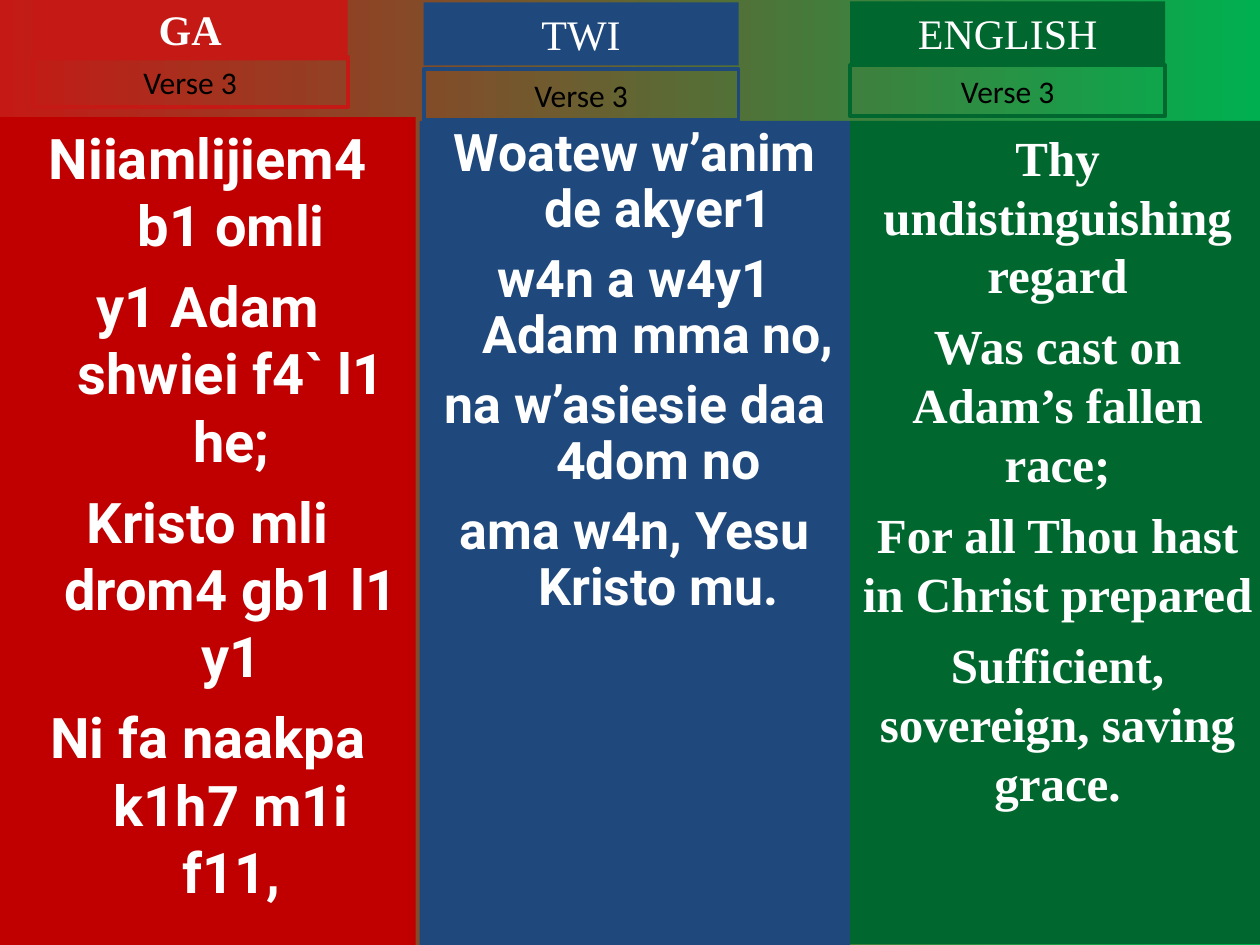
from dataclasses import dataclass
from pptx import Presentation
from pptx.dml.color import RGBColor
from pptx.enum.text import MSO_AUTO_SIZE as AutoSize, PP_ALIGN as Align
from pptx.util import Cm, Pt

PAGE_WIDTH, PAGE_HEIGHT = 25.4, 19.05
LABEL_WIDTH, TITLE_HEIGHT, VERSE_HEIGHT = 6.35, 1.27, 1.02
WHITE, BLACK = "FFFFFF", "000000"


@dataclass
class Language:
    title: str
    lines: list
    box: tuple
    label_left: float
    title_top: float
    verse_top: float
    body_color: str
    title_color: str
    font: str
    size: float
    gap: float
    hanging: float = 0
    spacing: float = 1.0
    title_bold: bool = False


LANGUAGES = [
    Language(
        "GA",
        ["Niiamlijiem4 b1 omli", "y1 Adam shwiei f4` l1 he;",
         "Kristo mli drom4 gb1 l1 y1", "Ni fa naakpa k1h7 m1i f11,"],
        (0, 2.36, 8.38, 16.69), 0.66, -0.05, 1.14,
        "C00000", "C51915", "Roboto", 32, 8, hanging=0.95, title_bold=True),
    Language(
        "TWI",
        ["Woatew w’anim de akyer1", "w4n a w4y1 Adam mma no,",
         "na w’asiesie daa 4dom no", "ama w4n, Yesu Kristo mu."],
        (8.46, 2.44, 8.68, 16.61), 0.08, 0.05, 1.4,
        "1F497D", "1F497D", "Roboto", 29.6, 8, hanging=0.95, spacing=0.9),
    Language(
        "ENGLISH",
        ["Thy undistinguishing regard", "Was cast on Adam’s fallen race;",
         "For all Thou hast in Christ prepared",
         "Sufficient, sovereign, saving grace."],
        (17.14, 2.44, 8.36, 16.59), 0, 0.03, 1.32,
        "00682F", "00682F", "Times New Roman", 28, 7),
]


def color(value):
    return RGBColor.from_string(value)


def add_text(page, area, lines, font, size, ink, bold=False):
    box = page.shapes.add_textbox(*(Cm(length) for length in area))
    frame = box.text_frame
    frame.word_wrap = True
    frame.text = "\n".join(lines)
    for para in frame.paragraphs:
        para.alignment = Align.CENTER
        for span in para.runs:
            span.font.name = font
            span.font.size = Pt(size)
            span.font.bold = bold
            span.font.color.rgb = color(ink)
    return box


def fill_box(box, value):
    box.fill.solid()
    box.fill.fore_color.rgb = color(value)


def add_body(page, language):
    body = add_text(page, language.box, language.lines, language.font,
                    language.size, WHITE, bold=True)
    fill_box(body, language.body_color)
    for index, para in enumerate(body.text_frame.paragraphs):
        para.line_spacing = language.spacing
        para.space_before = Pt(language.gap if index else 0)
        if language.hanging:
            properties = para._p.get_or_add_pPr()
            properties.set("marL", str(Cm(language.hanging)))
            properties.set("indent", str(-Cm(language.hanging)))


def add_labels(page, language):
    left = language.box[0] + language.label_left
    title = add_text(page, (left, language.title_top, LABEL_WIDTH, TITLE_HEIGHT),
                     [language.title], "Times New Roman", 24, WHITE,
                     language.title_bold)
    fill_box(title, language.title_color)
    verse = add_text(page, (left, language.verse_top, LABEL_WIDTH, VERSE_HEIGHT),
                     ["Verse 3"], "Calibri", 18, BLACK)
    verse.line.color.rgb = color(language.title_color)
    verse.line.width = Pt(2.25)
    for label in (title, verse):
        label.text_frame.auto_size = AutoSize.SHAPE_TO_FIT_TEXT


def paint_background(page):
    fill = page.background.fill
    fill.gradient()
    fill.gradient_angle = 0
    for stop, value in zip(fill.gradient_stops, ("C51915", "00B050")):
        stop.color.rgb = color(value)


def main():
    deck = Presentation()
    deck.slide_width, deck.slide_height = Cm(PAGE_WIDTH), Cm(PAGE_HEIGHT)
    page = deck.slides.add_slide(deck.slide_layouts[6])
    paint_background(page)
    for language in LANGUAGES:
        add_body(page, language)
        add_labels(page, language)
    deck.save("out.pptx")


if __name__ == "__main__":
    main()
